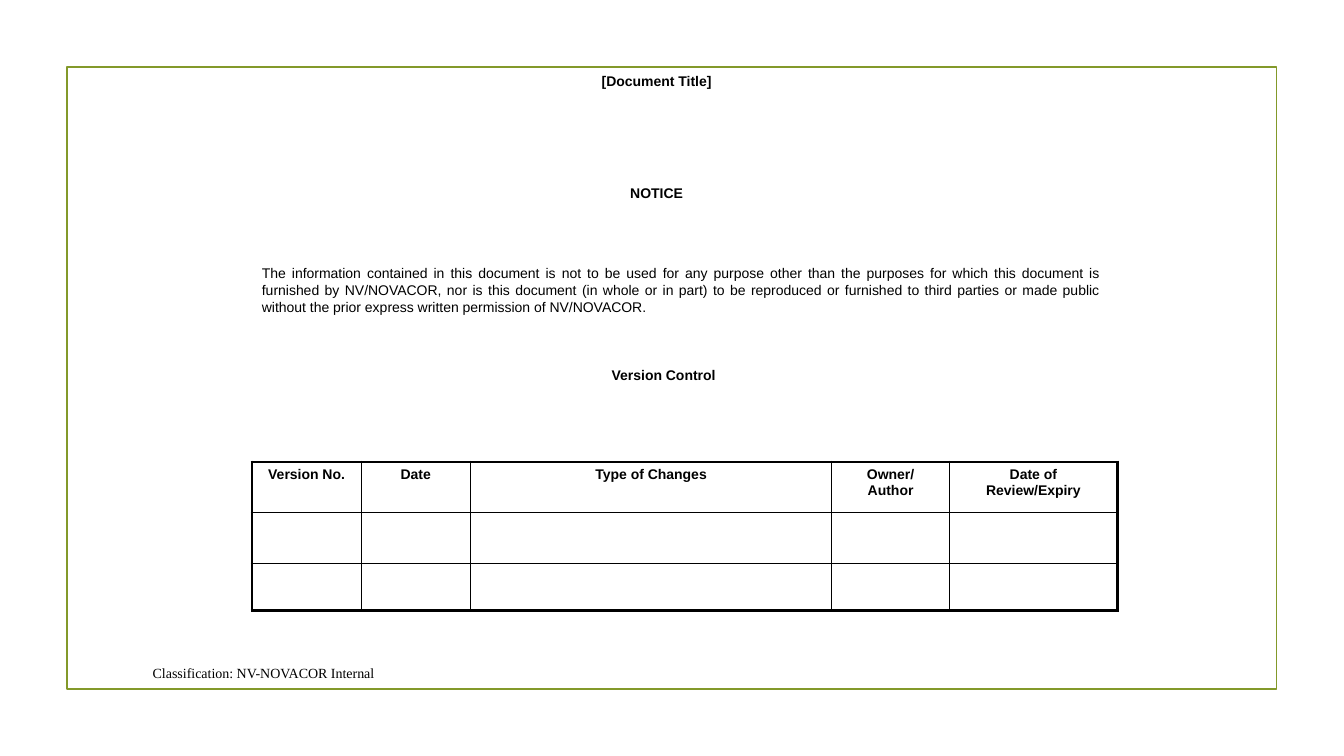
from pptx import Presentation
from pptx.dml.color import RGBColor
from pptx.enum.shapes import MSO_SHAPE as Shape
from pptx.enum.text import MSO_ANCHOR as Anchor, PP_ALIGN as Align
from pptx.oxml.ns import qn
from pptx.util import Pt
from lxml.etree import SubElement

BLACK = RGBColor(0, 0, 0)
OLIVE = RGBColor(0x83, 0x99, 0x2A)

HEADERS = ["Version No.", "Date", "Type of Changes", "Owner/\nAuthor", "Date of\vReview/Expiry"]
COLUMN_WIDTHS = [78, 78, 258.2, 84, 120]
ROW_HEIGHTS = [36, 36.5, 33.5]
NOTICE = (
    "The information contained in this document is not to be used for any purpose "
    "other than the purposes for which this document is furnished by NV/NOVACOR, "
    "nor is this document (in whole or in part) to be reproduced or furnished to "
    "third parties or made public without the prior express written permission of "
    "NV/NOVACOR."
)


def write(frame, text, font="Arial", bold=False, align=Align.CENTER, anchor=Anchor.MIDDLE):
    frame.word_wrap = True
    frame.vertical_anchor = anchor
    frame.text = text
    for paragraph in frame.paragraphs:
        paragraph.alignment = align
        for run in paragraph.runs:
            run.font.name = font
            run.font.size = Pt(10)
            run.font.bold = bold
            run.font.color.rgb = BLACK


def add_text(slide, left, top, width, height, text, **style):
    label = slide.shapes.add_textbox(Pt(left), Pt(top), Pt(width), Pt(height))
    write(label.text_frame, text, **style)


def add_frame(slide, left, top, width, height):
    frame = slide.shapes.add_shape(Shape.RECTANGLE, Pt(left), Pt(top), Pt(width), Pt(height))
    frame.shadow.inherit = False
    frame.fill.background()
    frame.line.color.rgb = OLIVE
    frame.line.width = Pt(1.25)


def add_heading(slide, left, top, width, height):
    title = slide.shapes.title
    title.left, title.top, title.width, title.height = Pt(left), Pt(top), Pt(width), Pt(20)
    write(title.text_frame, "[Document Title]", bold=True)
    add_text(slide, left, top + height - 20, width, 20, "NOTICE", bold=True)


def add_borders(cell, outer_edges):
    properties = cell._tc.get_or_add_tcPr()
    for edge, is_outer in zip("LRTB", outer_edges):
        width = Pt(2.25 if is_outer else 1)
        border = SubElement(properties, qn(f"a:ln{edge}"), w=str(width))
        fill = SubElement(border, qn("a:solidFill"))
        SubElement(fill, qn("a:srgbClr"), val=str(BLACK))


def add_version_table(slide, left, top, width, height):
    row_count, column_count = len(ROW_HEIGHTS), len(COLUMN_WIDTHS)
    versions = slide.shapes.add_table(
        row_count, column_count, Pt(left), Pt(top), Pt(width), Pt(height)
    ).table
    versions.first_row = versions.horz_banding = False
    for column, column_width in zip(versions.columns, COLUMN_WIDTHS):
        column.width = Pt(column_width)
    for r, row_height in enumerate(ROW_HEIGHTS):
        versions.rows[r].height = Pt(row_height)
        for c in range(column_count):
            cell = versions.cell(r, c)
            add_borders(cell, (c == 0, c == column_count - 1, r == 0, r == row_count - 1))
            cell.fill.background()
    for c, header in enumerate(HEADERS):
        write(versions.cell(0, c).text_frame, header, bold=True)
        versions.cell(0, c).vertical_anchor = Anchor.TOP


def build_notice_slide(deck):
    slide = deck.slides.add_slide(deck.slide_layouts[5])
    add_frame(slide, 47.75, 48, 864, 444)
    add_heading(slide, 372, 48, 194, 100)
    add_text(slide, 180, 162, 612, 90, NOTICE, align=Align.JUSTIFY)
    add_text(slide, 276, 258, 396, 20, "Version Control", bold=True)
    add_version_table(slide, 180, 330, sum(COLUMN_WIDTHS), sum(ROW_HEIGHTS))
    add_text(slide, 102, 470, 575, 22, "Classification: NV-NOVACOR Internal",
             font="Times New Roman", align=Align.LEFT)


def main():
    deck = Presentation()
    deck.slide_width, deck.slide_height = Pt(960), Pt(540)
    build_notice_slide(deck)
    deck.save("out.pptx")


if __name__ == "__main__":
    main()
